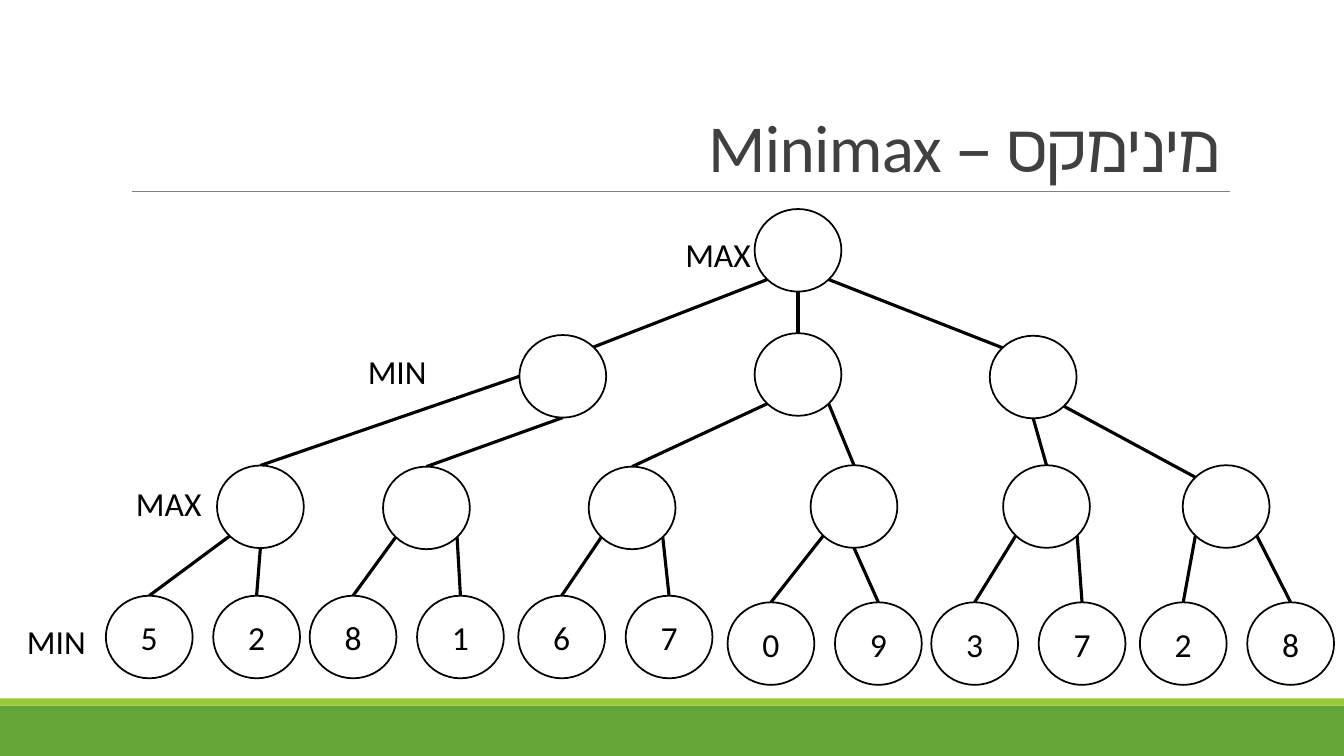
from pptx import Presentation
from pptx.dml.color import RGBColor
from pptx.enum.shapes import MSO_CONNECTOR, MSO_SHAPE
from pptx.enum.text import MSO_ANCHOR, MSO_AUTO_SIZE, PP_ALIGN
from pptx.oxml.ns import qn
from pptx.util import Pt
from lxml import etree

RECTANGLE, OVAL, STRAIGHT = MSO_SHAPE.RECTANGLE, MSO_SHAPE.OVAL, MSO_CONNECTOR.STRAIGHT
MIDDLE, BOTTOM = MSO_ANCHOR.MIDDLE, MSO_ANCHOR.BOTTOM
GROW = MSO_AUTO_SIZE.SHAPE_TO_FIT_TEXT
CENTER, RIGHT = PP_ALIGN.CENTER, PP_ALIGN.RIGHT

COLORS = {"black": "000000", "white": "FFFFFF", "title": "404040",
          "rule": "808080", "green": "63A537", "lime": "99CB38"}
NODE_WIDTH, NODE_HEIGHT = 62, 59
LEAF_STEP = 76.7
DIAGONAL = 0.5 ** 0.5

# Points on a node's rim, as horizontal and vertical shares of its radii
SITES = {"top": (0, -1), "left": (-1, 0), "bottom": (0, 1),
         "top left": (-DIAGONAL, -DIAGONAL), "top right": (DIAGONAL, -DIAGONAL),
         "bottom left": (-DIAGONAL, DIAGONAL), "bottom right": (DIAGONAL, DIAGONAL)}

ROOT = (539, 149.3)
MIN_NODES = [(371, 239.3), (539, 238), (707, 239.8)]
MAX_NODES = [(155, 332.5), (273.6, 333.3), (420.5, 333.3),
             (579, 332.3), (716.5, 332.3), (844.8, 332.3)]
# First leaf's position, the two values, the parent's site for the second leaf
LEAF_PAIRS = [((75.6, 425.5), "52", "bottom"), ((221.2, 425.5), "81", "bottom right"),
              ((370.2, 425.5), "67", "bottom right"), ((519.7, 430.2), "09", "bottom"),
              ((665.2, 430.2), "37", "bottom right"), ((814.2, 430.2), "28", "bottom right")]

UPPER_EDGES = [
    (ROOT, "bottom left", MIN_NODES[0], "top right"),
    (ROOT, "bottom", MIN_NODES[1], "top"),
    (ROOT, "bottom right", MIN_NODES[2], "top left"),
    (MIN_NODES[0], "left", MAX_NODES[0], "top"),
    (MIN_NODES[0], "bottom", MAX_NODES[1], "top"),
    (MIN_NODES[1], "bottom left", MAX_NODES[2], "top"),
    (MIN_NODES[1], "bottom right", MAX_NODES[3], "top"),
    (MIN_NODES[2], "bottom", MAX_NODES[4], "top"),
    (MIN_NODES[2], "bottom right", MAX_NODES[5], "top left"),
]
# Text, left, top, width, wraps, has a white outline
LABELS = [("MAX", 482.4, 163.4, 62, False, False), ("MIN", 255.6, 247, 70, True, True),
          ("MIN", 12.2, 440, 63.4, True, False), ("MAX", 90, 341.3, 62, False, True)]


def color(name):
    return RGBColor.from_string(COLORS[name])


def rim_point(node, site):
    across, down = SITES[site]
    return (node[0] + NODE_WIDTH / 2 * (1 + across),
            node[1] + NODE_HEIGHT / 2 * (1 + down))


class TreeSlide:
    """Holds the slide and the text style, and draws each kind of element."""

    text_style = {"name": "Calibri", "size": Pt(24)}

    def __init__(self, slide):
        self.slide = slide

    def add_text(self, shape, text, color_name="black", **formats):
        paragraph = shape.text_frame.paragraphs[0]
        run = paragraph.add_run()
        run.text = text
        for attribute, value in {**self.text_style, **formats}.items():
            setattr(run.font, attribute, value)
        run.font.color.rgb = color(color_name)
        return paragraph

    def band(self, top, height, color_name):
        shape = self.slide.shapes.add_shape(RECTANGLE, 0, Pt(top), Pt(960), Pt(height))
        shape.shadow.inherit = False
        shape.fill.solid()
        shape.fill.fore_color.rgb = color(color_name)
        shape.line.fill.background()

    def line(self, start, end, color_name="black", width=2.25):
        connector = self.slide.shapes.add_connector(
            STRAIGHT, *(Pt(length) for length in (*start, *end)))
        connector.line.color.rgb = color(color_name)
        connector.line.width = Pt(width)
        etree.SubElement(connector._element.spPr, qn("a:effectLst"))

    def edge(self, parent, parent_site, child, child_site):
        self.line(rim_point(parent, parent_site), rim_point(child, child_site))

    def node(self, position, value=None):
        shape = self.slide.shapes.add_shape(
            OVAL, *(Pt(length) for length in (*position, NODE_WIDTH, NODE_HEIGHT)))
        shape.shadow.inherit = False
        shape.fill.solid()
        shape.fill.fore_color.rgb = color("white")
        shape.line.color.rgb = color("black")
        shape.line.width = Pt(1.25)
        if value:
            shape.text_frame.vertical_anchor = MIDDLE
            self.add_text(shape, value).alignment = CENTER

    def text_box(self, left, top, width, height, **frame_formats):
        box = self.slide.shapes.add_textbox(Pt(left), Pt(top), Pt(width), Pt(height))
        for attribute, value in frame_formats.items():
            setattr(box.text_frame, attribute, value)
        return box

    def label(self, text, left, top, width, wraps, outlined):
        box = self.text_box(left, top, width, 36, word_wrap=wraps, auto_size=GROW)
        if outlined:
            box.line.color.rgb = color("white")
            box.line.width = Pt(0.75)
        self.add_text(box, text)

    def title(self, text):
        box = self.text_box(86.4, 22.6, 792, 114.2, word_wrap=True, vertical_anchor=BOTTOM)
        paragraph = self.add_text(box, text, "title", size=Pt(48))
        paragraph.alignment = RIGHT
        paragraph.line_spacing = 0.85
        paragraph._p.get_or_add_pPr().set("rtl", "1")
        paragraph.runs[0]._r.get_or_add_rPr().set("spc", "-50")


def main():
    presentation = Presentation()
    presentation.slide_width, presentation.slide_height = Pt(960), Pt(540)
    tree = TreeSlide(presentation.slides.add_slide(presentation.slide_layouts[6]))

    tree.band(504, 36, "green")
    tree.band(498.8, 5.2, "lime")
    tree.line((94.2, 136.8), (878.8, 136.8), "rule", 0.5)
    tree.title("מינימקס – Minimax")

    for edge in UPPER_EDGES:
        tree.edge(*edge)
    for parent, ((left, top), values, second_site) in zip(MAX_NODES, LEAF_PAIRS):
        for index, site in enumerate(("bottom left", second_site)):
            leaf = (left + index * LEAF_STEP, top)
            tree.edge(parent, site, leaf, "top")
            tree.node(leaf, values[index])
    for label in LABELS:
        tree.label(*label)
    for position in [*MAX_NODES, *MIN_NODES, ROOT]:
        tree.node(position)

    presentation.save("out.pptx")


if __name__ == "__main__":
    main()
